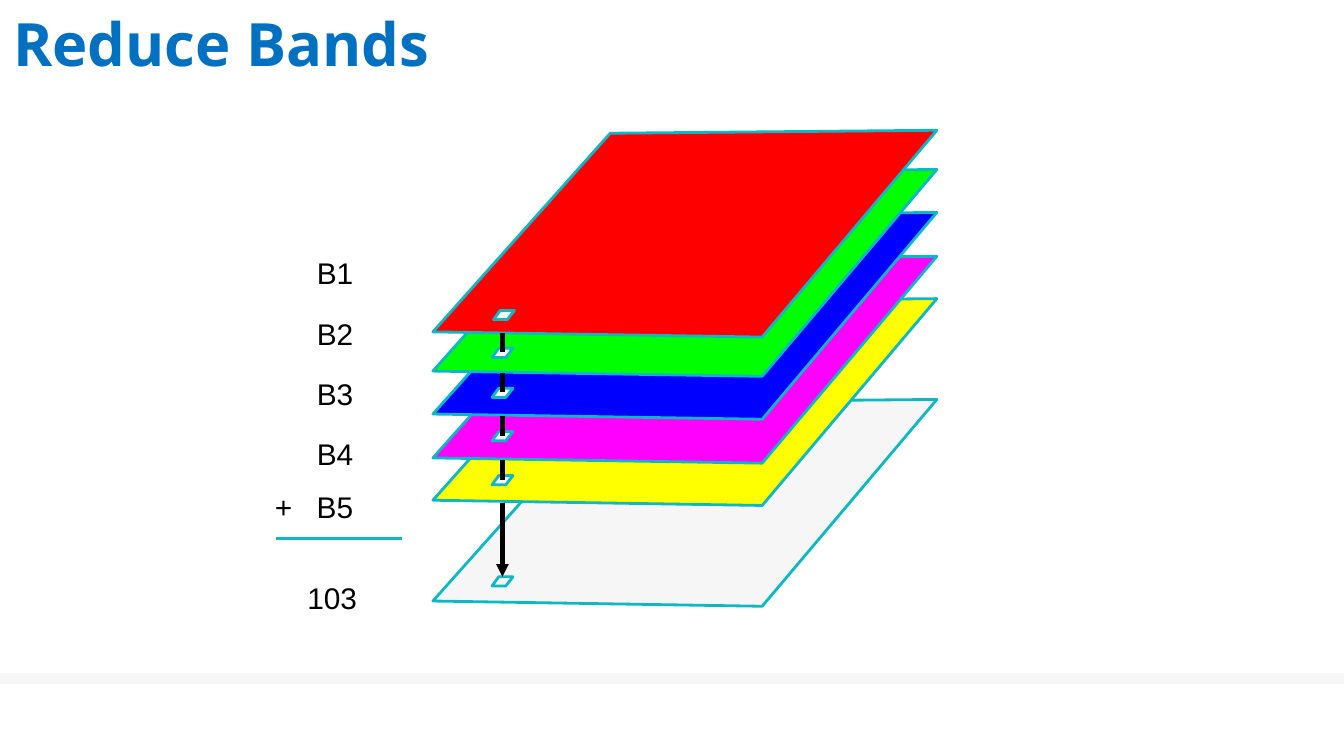
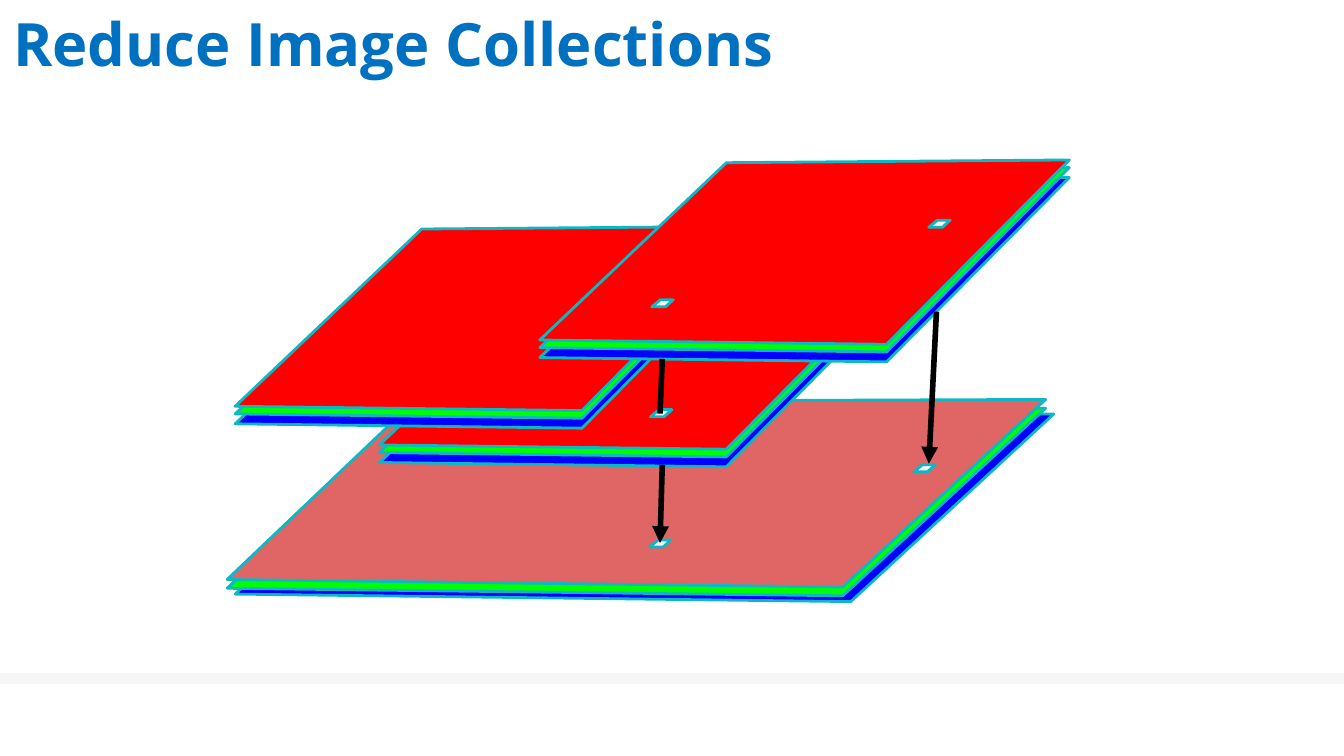
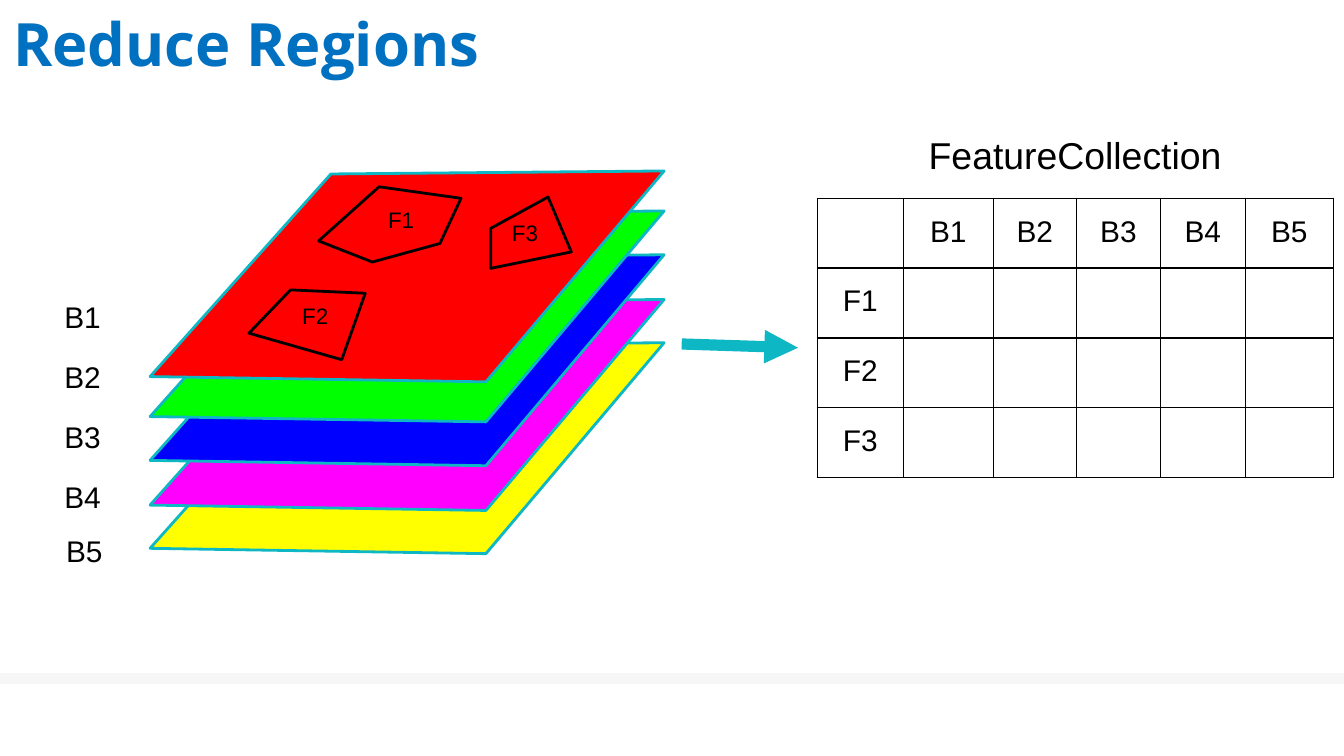
"""Build three slides explaining reduction over bands, collections and regions."""
from dataclasses import dataclass
from typing import Any, Optional

from lxml.etree import SubElement
from pptx import Presentation
from pptx.dml.color import RGBColor
from pptx.enum.shapes import MSO_CONNECTOR, MSO_SHAPE
from pptx.enum.text import MSO_ANCHOR as Anchor, PP_ALIGN as Align
from pptx.oxml.ns import qn
from pptx.util import Pt

Points = list[tuple[float, float]]

COLORS = {
    "title": "0070C0", "edge": "0DB7C4", "pale": "F6F6F6", "ink": "000000",
    "red": "FF0000", "green": "00FF00", "blue": "0000FF",
    "magenta": "FF00FF", "yellow": "FFFF00", "rose": "E06666",
}
BODY_FONT = {"name": "Arial", "bold": False}
TITLE_FONT = {"name": "Open Sans", "bold": True}
INSET = 9.1
MARGINS = ("margin_left", "margin_top", "margin_right", "margin_bottom")

BAND_SHEET = [(0, 108), (95, 1.6), (270, 0), (176.4, 110.8)]
BAND_STACK = [("yellow", 90.2), ("magenta", 67.5), ("blue", 44), ("green", 21), ("red", 0)]
BAND_PIXEL = [(0, 4.9), (3.6, 0), (11.2, 0), (7.4, 4.9)]
IMAGE_SHEET = [(0, 96.5), (100, 1.5), (283.7, 0), (185.8, 98.8)]
MOSAIC_SHEET = [(0, 96.5), (100, 1.3), (438.5, 0), (329.8, 100.5)]
IMAGE_STACK = [("blue", 9.4), ("green", 4.1), ("red", 0)]
IMAGE_PIXEL = [(0, 3.8), (4.6, 0), (11.5, 0), (7.3, 3.8)]


@dataclass
class Patch:
    """A closed outline placed by its upper left corner."""
    left: float
    top: float
    outline: Points
    fill: Optional[str] = "pale"
    line: str = "edge"


@dataclass
class Label:
    """A short text in its own box."""
    text: str
    left: float
    top: float
    width: float = 44.6
    height: float = 36
    size: float = 16
    align: Align = Align.LEFT
    tab: Optional[float] = None


@dataclass
class Stroke:
    """A straight line, with or without an arrowhead."""
    start: tuple[float, float]
    end: tuple[float, float]
    width: float = 3
    color: str = "ink"
    arrow: bool = False


def set_values(target: Any, values: dict[str, Any]) -> None:
    """Set each named value on the target."""
    for name, value in values.items():
        setattr(target, name, value)


def rgb(name: str) -> RGBColor:
    """Look up a colour of the palette."""
    return RGBColor.from_string(COLORS[name])


def write_text(frame: Any, text: str, size: float, align: Align = Align.LEFT,
               font: dict[str, Any] = BODY_FONT, color: str = "ink",
               tab: Optional[float] = None) -> None:
    """Fill a text frame with one formatted paragraph."""
    paragraph = frame.paragraphs[0]
    paragraph.alignment = align
    if tab:
        tabs = SubElement(paragraph._p.get_or_add_pPr(), qn("a:tabLst"))
        SubElement(tabs, qn("a:tab"), pos=str(Pt(tab)), algn="l")
    run = paragraph.add_run()
    run.text = text
    set_values(run.font, {**font, "size": Pt(size)})
    run.font.color.rgb = rgb(color)


def add_label(slide: Any, label: Label) -> None:
    """Draw a label."""
    box = slide.shapes.add_textbox(Pt(label.left), Pt(label.top), Pt(label.width), Pt(label.height))
    set_values(box.text_frame, {"word_wrap": True, **dict.fromkeys(MARGINS, Pt(INSET))})
    write_text(box.text_frame, label.text, label.size, label.align, tab=label.tab)


def add_patch(slide: Any, patch: Patch) -> None:
    """Draw a closed outline."""
    points = [(Pt(patch.left + x), Pt(patch.top + y)) for x, y in patch.outline]
    builder = slide.shapes.build_freeform(*points[0])
    builder.add_line_segments(points[1:], close=True)
    shape = builder.convert_to_shape()
    shape.shadow.inherit = False
    if patch.fill:
        shape.fill.solid()
        shape.fill.fore_color.rgb = rgb(patch.fill)
    else:
        shape.fill.background()
    shape.line.color.rgb = rgb(patch.line)
    shape.line.width = Pt(1.5)


def add_stroke(slide: Any, stroke: Stroke) -> None:
    """Draw a straight line."""
    ends = [Pt(value) for value in (*stroke.start, *stroke.end)]
    connector = slide.shapes.add_connector(MSO_CONNECTOR.STRAIGHT, *ends)
    connector.line.color.rgb = rgb(stroke.color)
    connector.line.width = Pt(stroke.width)
    properties = connector.element.spPr
    if stroke.arrow:
        SubElement(properties.find(qn("a:ln")), qn("a:tailEnd"), type="triangle")
    SubElement(properties, qn("a:effectLst"))


def add_stack(slide: Any, left: float, top: float, outline: Points,
              layers: list[tuple[str, float]], scale: float = 1) -> None:
    """Draw sheets above one another, lowest first."""
    scaled = [(x * scale, y * scale) for x, y in outline]
    for fill, drop in layers:
        add_patch(slide, Patch(left, top + drop * scale, scaled, fill))


def add_band_labels(slide: Any, left: float, top: float, last: Label) -> None:
    """Name the five bands; the last label has its own layout."""
    for index in range(4):
        add_label(slide, Label(f"B{index + 1}", left, top + 32.3 * index))
    add_label(slide, last)


def new_slide(presentation: Any, title: str) -> Any:
    """Add a slide with its title and footer band."""
    slide = presentation.slides.add_slide(presentation.slide_layouts[6])
    band = slide.shapes.add_shape(MSO_SHAPE.RECTANGLE, 0, Pt(360.6), Pt(720), Pt(5.8))
    band.shadow.inherit = False
    band.fill.solid()
    band.fill.fore_color.rgb = rgb("pale")
    band.line.fill.background()
    box = slide.shapes.add_textbox(0, 0, Pt(610), Pt(49))
    set_values(box.text_frame, {"word_wrap": True, "vertical_anchor": Anchor.BOTTOM,
                                **dict.fromkeys(MARGINS, Pt(7.2))})
    write_text(box.text_frame, title, 32, font=TITLE_FONT, color="title")
    return slide


def build_bands(presentation: Any) -> None:
    """Show five bands summed into one."""
    slide = new_slide(presentation, "Reduce Bands")
    add_patch(slide, Patch(231.9, 214, BAND_SHEET))
    add_stack(slide, 231.9, 69.8, BAND_SHEET, BAND_STACK)
    add_patch(slide, Patch(264.4, 166.3, BAND_PIXEL))
    for top in (186.6, 208, 231.2, 254.8):
        add_patch(slide, Patch(263.6, top, BAND_PIXEL))
        add_stroke(slide, Stroke((269.2, top - 8.1), (269.2, top + 2.2)))
    add_patch(slide, Patch(263.6, 309, BAND_PIXEL))
    add_stroke(slide, Stroke((269.2, 269.4), (269.2, 309), 2.25, arrow=True))
    add_band_labels(slide, 160.6, 127.5, Label("+\tB5", 138.2, 252.7, 67, tab=22.4))
    add_label(slide, Label("103", 155.6, 301.5, 54.7, 48.2))
    add_stroke(slide, Stroke((147.8, 288.6), (215.3, 288.6), 1.5, "edge"))


def build_collections(presentation: Any) -> None:
    """Show overlapping images reduced to one mosaic."""
    slide = new_slide(presentation, "Reduce Image Collections")
    for left, top, fill in ((126, 221.8, "blue"), (121.7, 218.7, "green"), (121.7, 214, "rose")):
        add_patch(slide, Patch(left, top, MOSAIC_SHEET, fill))
    for left, top in ((203.3, 141.9), (126, 121.2), (289.2, 85.7)):
        add_stack(slide, left, top, IMAGE_SHEET, IMAGE_STACK)
    for left, top in ((497.6, 118), (489.6, 249), (349.2, 160.6), (348, 289.3), (348.5, 219.5)):
        add_patch(slide, Patch(left, top, IMAGE_PIXEL))
    add_stroke(slide, Stroke((501.7, 167), (497.6, 248.4), arrow=True))
    add_stroke(slide, Stroke((354.8, 192.3), (353.6, 221.6)))
    add_stroke(slide, Stroke((354.8, 249.1), (353.6, 290.9), arrow=True))


def add_feature_table(slide: Any) -> None:
    """Draw the empty table of features by bands."""
    widths = (46.1, 48.2, 44.6, 45, 45.5, 47.1)
    frame = slide.shapes.add_table(4, 6, Pt(437.8), Pt(106.2), Pt(sum(widths)), Pt(4 * 36.9))
    table = frame.table
    set_values(table, {"first_row": False, "horz_banding": False})
    for column, width in zip(table.columns, widths):
        column.width = Pt(width)
    for row_index, row in enumerate(table.rows):
        row.height = Pt(36.9)
        for column_index, cell in enumerate(row.cells):
            text = ""
            if row_index == 0 and column_index:
                text = f"B{column_index}"
            elif row_index and column_index == 0:
                text = f"F{row_index}"
            if text:
                set_values(cell, dict.fromkeys(MARGINS, Pt(INSET)))
                write_text(cell.text_frame, text, 16, Align.CENTER)
            properties = cell._tc.get_or_add_tcPr()
            for side in ("a:lnL", "a:lnR", "a:lnT", "a:lnB"):
                border = SubElement(properties, qn(side), w=str(Pt(0.75)))
                fill = SubElement(border, qn("a:solidFill"))
                SubElement(fill, qn("a:srgbClr"), val=COLORS["ink"])
            cell.fill.background()


def build_regions(presentation: Any) -> None:
    """Show three regions of five bands reduced to a table."""
    slide = new_slide(presentation, "Reduce Regions")
    add_stroke(slide, Stroke((365.2, 184.3), (427.5, 186.3), 6, "edge", True))
    add_band_labels(slide, 25.4, 150.7, Label("B5", 19.4, 276.5, align=Align.RIGHT))
    add_stack(slide, 80.4, 91.6, BAND_SHEET, BAND_STACK, 1.02)
    regions = (
        Patch(133.4, 155.3, [(0, 23.2), (22.3, 0), (62.3, 1.8), (49.7, 37.4)], None, "ink"),
        Patch(170.7, 100.1, [(0, 29), (32.4, 0), (76.3, 6.2), (65, 30.4), (28.8, 40.3)], None, "ink"),
        Patch(262.9, 105.6, [(30.7, 0), (0, 16.8), (0, 38.2), (43.2, 29.4)], "red", "ink"),
    )
    for region in regions:
        add_patch(slide, region)
    for text, left, top in (("F1", 198.8, 103), ("F2", 152.8, 154.8), ("F3", 265.2, 110)):
        add_label(slide, Label(text, left, top, 38.2, 30.2, 12))
    add_feature_table(slide)
    add_label(slide, Label("FeatureCollection", 437.8, 61.5, 276.5, 42.5, 20, Align.CENTER))


def main() -> None:
    """Build and save the presentation."""
    presentation = Presentation()
    set_values(presentation, {"slide_width": Pt(720), "slide_height": Pt(405)})
    for build in (build_bands, build_collections, build_regions):
        build(presentation)
    presentation.save("out.pptx")


if __name__ == "__main__":
    main()
